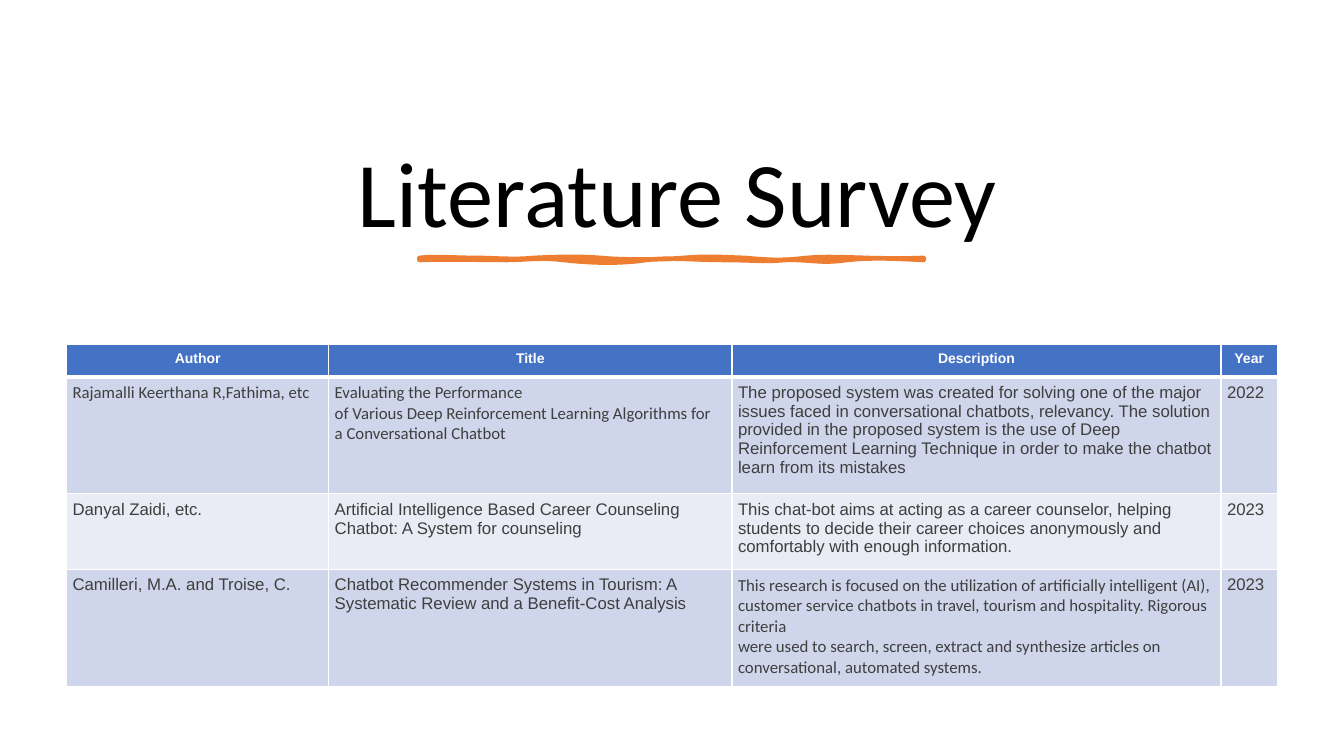
from dataclasses import dataclass

from lxml import etree
from pptx import Presentation
from pptx import util as u
from pptx.dml.color import RGBColor
from pptx.enum import text
from pptx.oxml import ns

PX = 9144


@dataclass(frozen=True)
class Theme:
    """Colours, fonts and type sizes of the slide."""
    title: str = "000000"
    accent: str = "ED7D31"
    header: str = "4472C4"
    white: str = "FFFFFF"
    body: str = "3F3F3F"
    bands: tuple = ("CFD5EA", "E9EBF5")
    sans: str = "Arial"
    humanist: str = "Calibri"
    title_size: int = 66
    header_size: int = 10
    body_size: int = 12


class SlideBuilder:
    """Draws styled elements on the current slide, in px of 1/100 inch."""

    def __init__(self, prs, theme):
        self.theme = theme
        self.slide = prs.slides.add_slide(prs.slide_layouts[6])

    def run(self, p, words, font, size, color, bold=False):
        r = p.add_run()
        r.text = words
        r.font.name, r.font.size, r.font.bold = font, u.Pt(size), bold
        r.font.color.rgb = RGBColor.from_string(color)

    def title(self, box, words):
        t = self.theme
        tf = self.slide.shapes.add_textbox(*(v * PX for v in box)).text_frame
        tf.word_wrap = True
        tf.vertical_anchor = text.MSO_ANCHOR.BOTTOM
        p = tf.paragraphs[0]
        p.alignment, p.line_spacing = text.PP_ALIGN.CENTER, 0.9
        pPr = p._p.get_or_add_pPr()
        pPr.set("marL", str(38 * PX))
        pPr.set("indent", str(-27 * PX))
        self.run(p, words, t.humanist, t.title_size, t.title)

    def brush_stroke(self, start, curves, steps=8):
        points, here = [], start
        for c1, c2, end in curves:
            for i in range(1, steps + 1):
                k = i / steps
                weights = ((1 - k) ** 3, 3 * k * (1 - k) ** 2, 3 * k * k * (1 - k), k ** 3)
                points.append(tuple(
                    PX * sum(w * v for w, v in zip(weights, axis))
                    for axis in zip(here, c1, c2, end)))
            here = end
        builder = self.slide.shapes.build_freeform(start[0] * PX, start[1] * PX)
        builder.add_line_segments(points, close=True)
        sp = builder.convert_to_shape()
        sp.shadow.inherit = False
        sp.fill.solid()
        sp.fill.fore_color.rgb = RGBColor.from_string(self.theme.accent)
        sp.line.color.rgb = RGBColor.from_string(self.theme.accent)
        sp.line.width = u.Pt(3.25)

    def borders(self, cell, top, bottom):
        tcPr = cell._tc.get_or_add_tcPr()
        for side, width in (("L", 1), ("R", 1), ("T", top), ("B", bottom)):
            ln = etree.SubElement(tcPr, ns.qn(f"a:ln{side}"), w=str(u.Pt(width)))
            fill = etree.SubElement(ln, ns.qn("a:solidFill"))
            etree.SubElement(fill, ns.qn("a:srgbClr"), val=self.theme.white)

    def cell(self, cell, row, words, font):
        t = self.theme
        head = row == 0
        self.borders(cell, 3 if row == 1 else 1, 3 if head else 1)
        cell.fill.solid()
        cell.fill.fore_color.rgb = RGBColor.from_string(
            t.header if head else t.bands[(row - 1) % 2])
        cell.margin_left = cell.margin_right = 6 * PX
        cell.margin_top = cell.margin_bottom = 6 * PX
        tf = cell.text_frame
        for i, paragraph in enumerate(words.split("\n")):
            p = tf.add_paragraph() if i else tf.paragraphs[0]
            p.alignment = text.PP_ALIGN.CENTER if head else text.PP_ALIGN.LEFT
            for j, line in enumerate(paragraph.split("\v")):
                if j:
                    p.add_line_break()
                self.run(p, line, font, t.header_size if head else t.body_size,
                         t.white if head else t.body, head)

    def table(self, left, top, widths, heights, rows, humanist_cells):
        t = self.theme
        table = self.slide.shapes.add_table(
            len(heights), len(widths), left * PX, top * PX,
            sum(widths) * PX, sum(heights) * PX).table
        table.horz_banding = False
        for column, width in zip(table.columns, widths):
            column.width = width * PX
        for r, (height, row) in enumerate(zip(heights, rows)):
            table.rows[r].height = height * PX
            for c, words in enumerate(row):
                font = t.humanist if (r, c) in humanist_cells else t.sans
                self.cell(table.cell(r, c), r, words, font)


STROKE = [
    ((428, 254), (454, 256), (473, 256)), ((492, 256), (509, 258), (529, 256)),
    ((549, 255), (574, 254), (596, 256)), ((617, 258), (653, 258), (677, 256)),
    ((702, 254), (714, 255), (739, 256)), ((763, 258), (774, 259), (800, 256)),
    ((826, 253), (867, 258), (916, 256)), ((917, 257), (916, 257), (916, 258)),
    ((895, 257), (865, 255), (840, 258)), ((815, 262), (801, 257), (779, 258)),
    ((756, 260), (747, 258), (717, 258)), ((687, 258), (667, 255), (641, 258)),
    ((614, 262), (585, 261), (559, 258)), ((534, 255), (523, 258), (503, 258)),
    ((483, 258), (438, 257), (416, 258)), ((416, 258), (416, 257), (416, 256)),
]

SURVEY = [
    ("Author", "Title", "Description", "Year"),
    ("Rajamalli Keerthana R,Fathima, etc",
     "Evaluating the Performance\vof Various Deep Reinforcement Learning Algorithms for"
     "\va Conversational Chatbot",
     "The proposed system was created for solving one of the major issues faced in "
     "conversational chatbots, relevancy. The solution provided in the proposed system is "
     "the use of Deep Reinforcement Learning Technique in order to make the chatbot learn "
     "from its mistakes",
     "2022"),
    ("Danyal Zaidi, etc.",
     "Artificial Intelligence Based Career Counseling Chatbot: A System for counseling",
     "This chat-bot aims at acting as a career counselor, helping students to decide their "
     "career choices anonymously and comfortably with enough information.",
     "2023"),
    ("Camilleri, M.A. and Troise, C.",
     "Chatbot Recommender Systems in Tourism: A Systematic Review and a Benefit-Cost Analysis",
     "This research is focused on the utilization of artificially intelligent (AI), customer "
     "service chatbots in travel, tourism and hospitality. Rigorous criteria\n"
     "were used to search, screen, extract and synthesize articles on conversational, "
     "automated systems.",
     "2023"),
]


def main():
    prs = Presentation()
    prs.slide_width, prs.slide_height = 1333 * PX, 750 * PX
    s = SlideBuilder(prs, Theme())
    s.title((70, 50, 1193, 200), "Literature Survey")
    s.brush_stroke((416, 256), STROKE)
    s.table(66, 342, (260, 400, 485, 56), (32, 116, 75, 116), SURVEY,
            {(1, 0), (1, 1), (3, 2)})
    prs.save("out.pptx")


if __name__ == "__main__":
    main()
